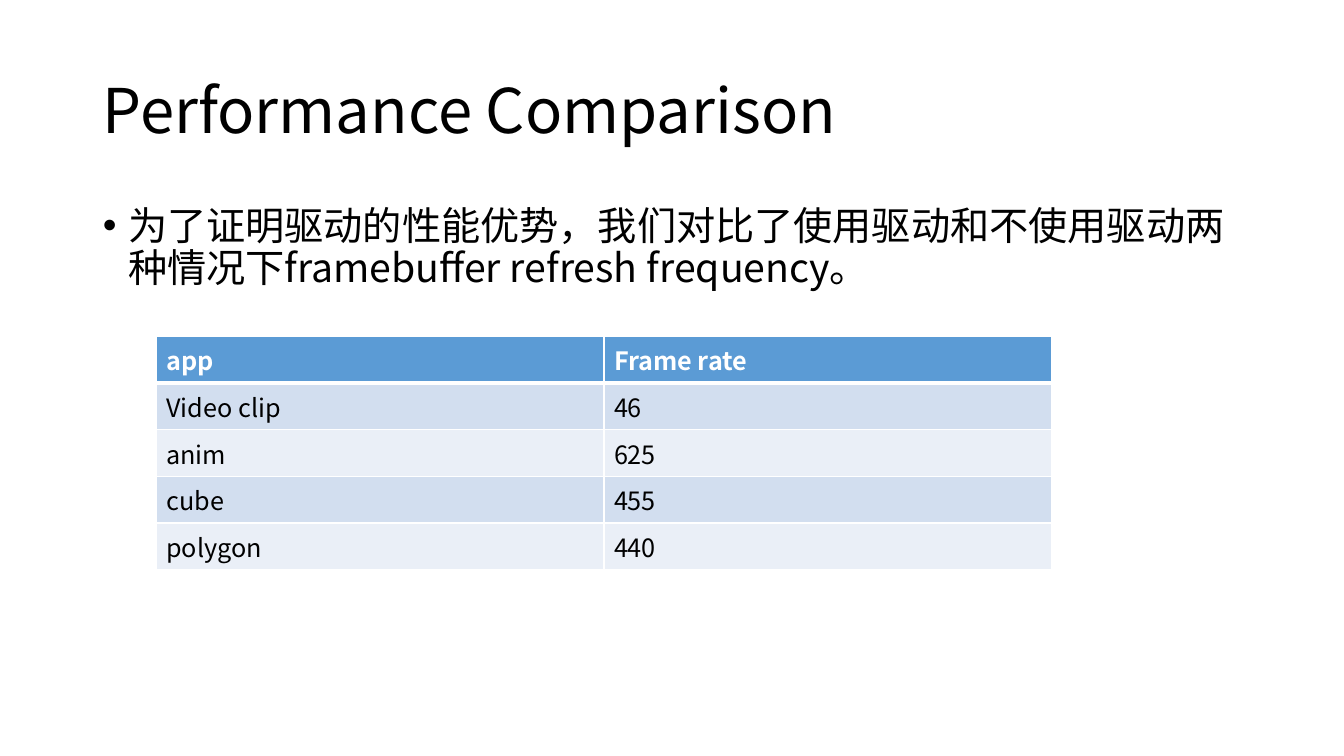
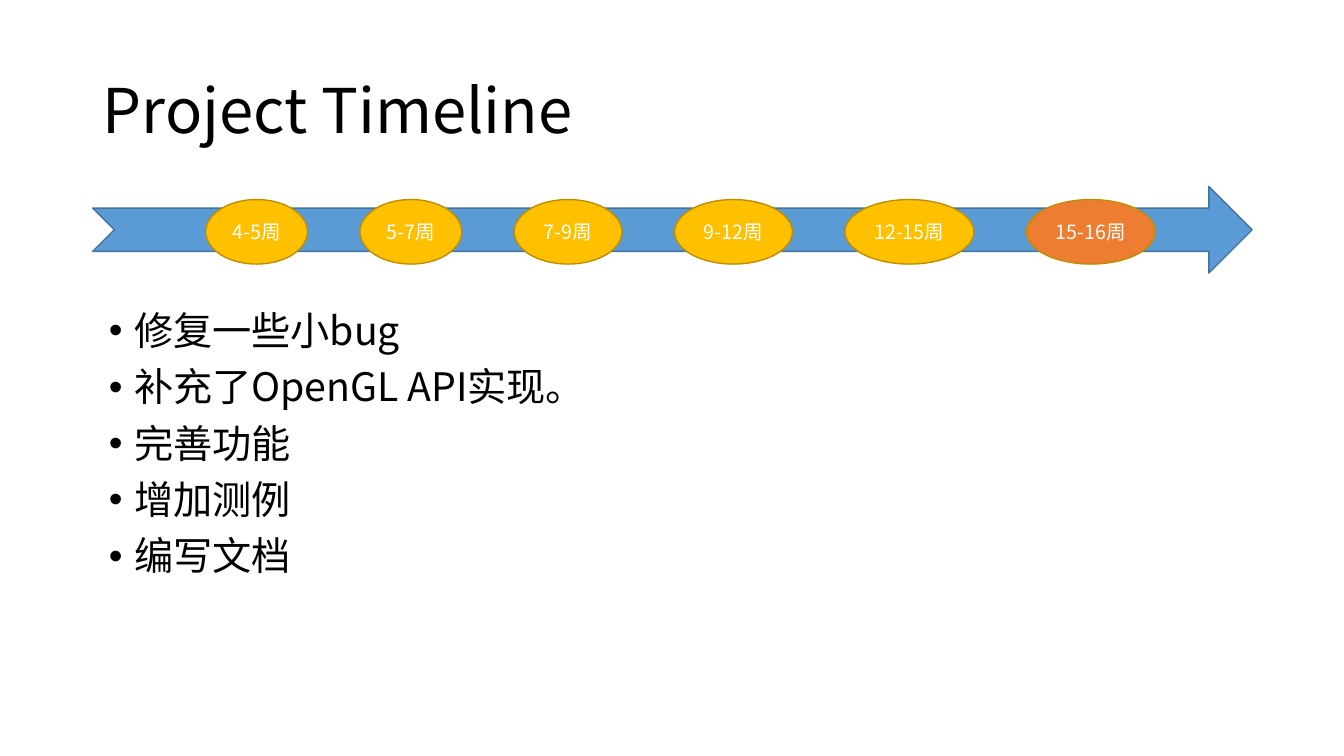
from dataclasses import dataclass

from lxml.etree import SubElement
from pptx import Presentation
from pptx.dml.color import RGBColor
from pptx.enum.shapes import MSO_SHAPE
from pptx.enum.text import MSO_ANCHOR, MSO_AUTO_SIZE, PP_ALIGN
from pptx.oxml.ns import qn
from pptx.util import Inches, Pt


@dataclass(frozen=True)
class Theme:
    font: str = "Noto Sans CJK SC"
    text: str = "000000"
    white: str = "FFFFFF"
    blue: str = "5B9BD5"
    blue_line: str = "43739E"
    bands: tuple = ("D2DEEF", "EAEFF7")
    gold: str = "FFC000"
    gold_line: str = "BD8E00"
    orange: str = "ED7D31"
    title_size: int = 44
    body_size: int = 28
    table_size: int = 18
    label_size: int = 14


T = Theme()

TITLE_BOX = (0.92, 0.4, 11.5, 1.45)

COMPARISON = {
    "title": "Performance Comparison",
    "box": (0.92, 2, 11.5, 4.76),
    "bullets": [
        "为了证明驱动的性能优势，我们对比了使用驱动和不使用驱动两种情况下framebuffer refresh frequency。",
    ],
}
FRAME_RATES = [
    ("app", "Frame rate"),
    ("Video clip", "46"),
    ("anim", "625"),
    ("cube", "455"),
    ("polygon", "440"),
]

TIMELINE = {
    "title": "Project Timeline",
    "box": (0.98, 3.04, 5.16, 3.91),
    "bullets": ["修复一些小bug", "补充了OpenGL API实现。", "完善功能", "增加测例", "编写文档"],
}
STAGES = [
    ("4-5周", 1.01),
    ("5-7周", 1.01),
    ("7-9周", 1.07),
    ("9-12周", 1.17),
    ("12-15周", 1.28),
    ("15-16周", 1.28),
]
CURRENT_STAGE = "15-16周"


def rgb(color):
    return RGBColor.from_string(color)


def place(sp, box):
    sp.left, sp.top, sp.width, sp.height = map(Inches, box)


def add_run(p, text, size, color, bold=False):
    r = p.add_run()
    r.text = text
    r.font.name = T.font
    r.font.size = Pt(size)
    r.font.bold = bold
    r.font.color.rgb = rgb(color)
    SubElement(r.font._element, qn("a:ea")).set("typeface", T.font)


def add_slide(prs, content):
    s = prs.slides.add_slide(prs.slide_layouts[1])
    title, body = s.shapes.title, s.placeholders[1]

    place(title, TITLE_BOX)
    tf = title.text_frame
    tf.auto_size = MSO_AUTO_SIZE.NONE
    tf.vertical_anchor = MSO_ANCHOR.MIDDLE
    p = tf.paragraphs[0]
    p.alignment = PP_ALIGN.LEFT
    p.line_spacing = 0.9
    add_run(p, content["title"], T.title_size, T.text)

    place(body, content["box"])
    tf = body.text_frame
    tf.auto_size = MSO_AUTO_SIZE.NONE
    for i, text in enumerate(content["bullets"]):
        p = tf.add_paragraph() if i else tf.paragraphs[0]
        p.line_spacing = 0.9
        p.space_before = Pt(10)
        pPr = p._p.get_or_add_pPr()
        pPr.set("marL", str(Inches(0.25)))
        pPr.set("indent", str(-Inches(0.25)))
        SubElement(pPr, qn("a:buFont")).set("typeface", "Arial")
        SubElement(pPr, qn("a:buChar")).set("char", "•")
        add_run(p, text, T.body_size, T.text)
    return s


def set_borders(cell, widths):
    tcPr = cell._tc.get_or_add_tcPr()
    for side, width in widths.items():
        ln = SubElement(tcPr, qn(f"a:ln{side}"), w=str(Pt(width)))
        fill = SubElement(ln, qn("a:solidFill"))
        SubElement(fill, qn("a:srgbClr")).set("val", T.white)


def add_frame_rates(s):
    rows, cols = len(FRAME_RATES), len(FRAME_RATES[0])
    box = map(Inches, (1.55, 3.34, 8.88, 0.46 * rows))
    table = s.shapes.add_table(rows, cols, *box).table
    for i, values in enumerate(FRAME_RATES):
        header = i == 0
        fill = T.blue if header else T.bands[(i - 1) % 2]
        color = T.white if header else T.text
        for j, value in enumerate(values):
            cell = table.cell(i, j)
            set_borders(cell, {"L": 1, "R": 1, "T": 3 if i == 1 else 1, "B": 3 if header else 1})
            cell.fill.solid()
            cell.fill.fore_color.rgb = rgb(fill)
            add_run(cell.text_frame.paragraphs[0], value, T.table_size, color, header)


def add_preset(s, kind, box, fill, line):
    sp = s.shapes.add_shape(kind, *map(Inches, box))
    sp.shadow.inherit = False
    sp.fill.solid()
    sp.fill.fore_color.rgb = rgb(fill)
    sp.line.color.rgb = rgb(line)
    sp.line.width = Pt(1)
    return sp


def add_timeline(s):
    add_preset(s, MSO_SHAPE.NOTCHED_RIGHT_ARROW, (0.92, 1.85, 11.5, 0.86), T.blue, T.blue_line)
    left, gap = 2.04, 0.52
    for label, width in STAGES:
        fill = T.orange if label == CURRENT_STAGE else T.gold
        sp = add_preset(s, MSO_SHAPE.OVAL, (left, 1.98, width, 0.64), fill, T.gold_line)
        tf = sp.text_frame
        tf.word_wrap = True
        tf.vertical_anchor = MSO_ANCHOR.MIDDLE
        p = tf.paragraphs[0]
        p.alignment = PP_ALIGN.CENTER
        add_run(p, label, T.label_size, T.white)
        left += width + gap


def main():
    prs = Presentation()
    prs.slide_width, prs.slide_height = Inches(13.33), Inches(7.5)
    add_frame_rates(add_slide(prs, COMPARISON))
    add_timeline(add_slide(prs, TIMELINE))
    prs.save("out.pptx")


if __name__ == "__main__":
    main()
